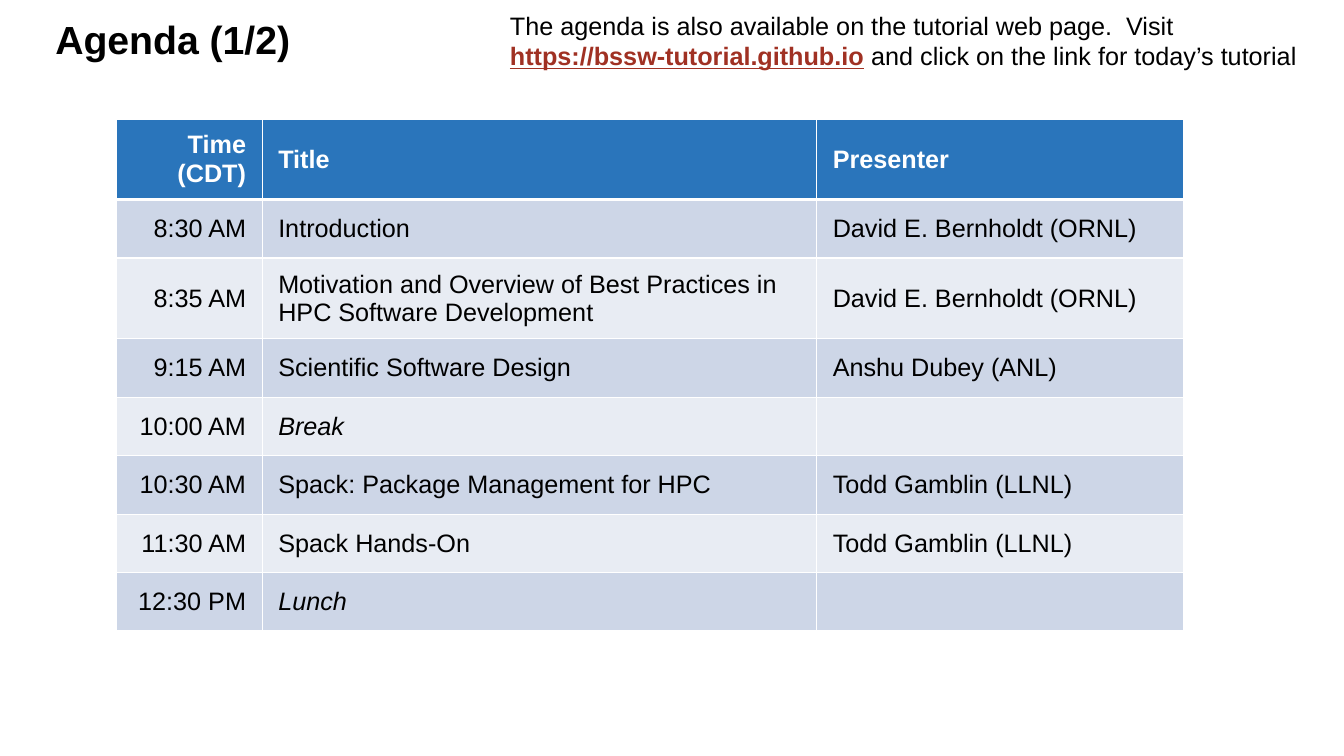
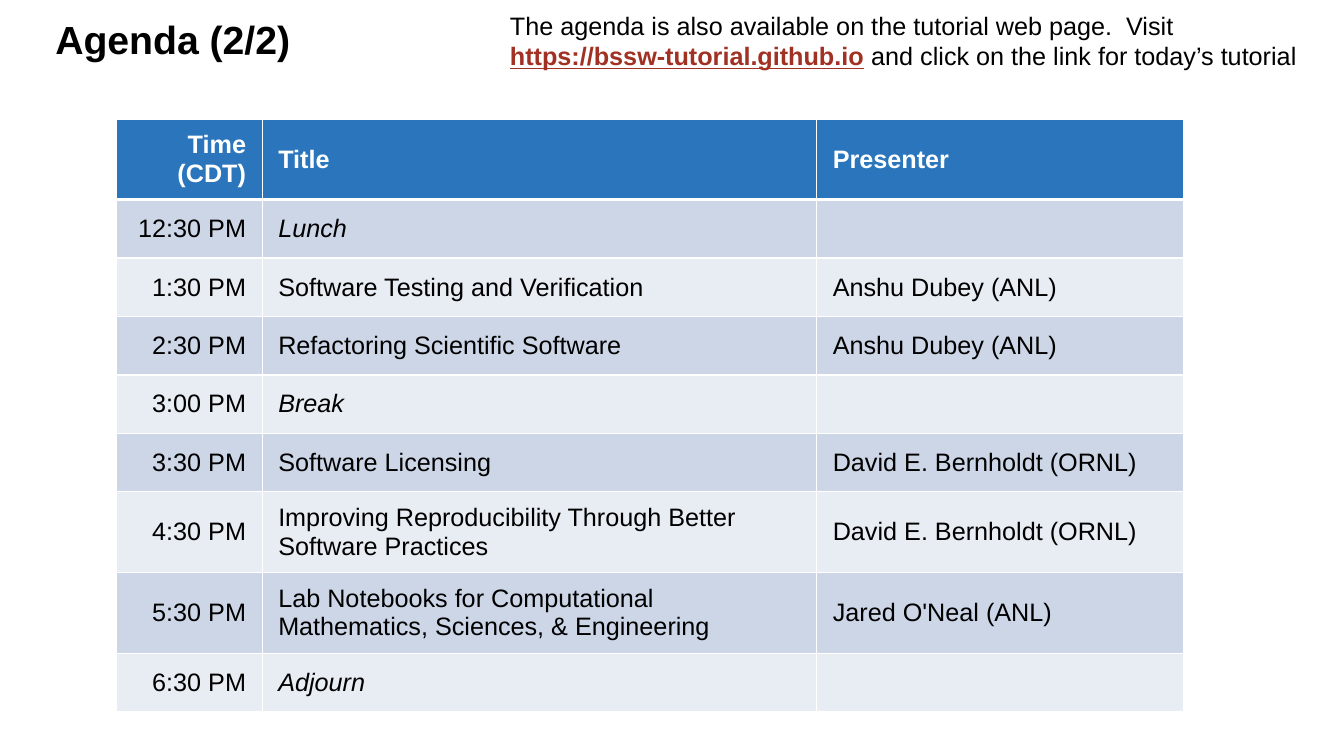
import pptx
import pptx.dml.color
import pptx.enum.text
import pptx.oxml
import pptx.oxml.ns
import pptx.util

Inches = pptx.util.Inches
Pt = pptx.util.Pt

FONT = "Arial"
BLACK = "000000"
WHITE = "FFFFFF"
HEADER_BLUE = "2A75BB"
BANDS = ["CDD6E7", "E8ECF3"]
LINK_RED = "A03123"

COLUMN_WIDTHS = [1.45, 5.5, 3.64]
ROW_HEIGHT = 0.58
HEADINGS = ("Time (CDT)", "Title", "Presenter")
UNPRESENTED = ("Break", "Lunch", "Adjourn")

AGENDAS = [
    ("Agenda (1/2)", [
        ("8:30 AM", "Introduction", "David E. Bernholdt (ORNL)"),
        ("8:35 AM", "Motivation and Overview of Best Practices in HPC Software Development",
         "David E. Bernholdt (ORNL)"),
        ("9:15 AM", "Scientific Software Design", "Anshu Dubey (ANL)"),
        ("10:00 AM", "Break", ""),
        ("10:30 AM", "Spack: Package Management for HPC", "Todd Gamblin (LLNL)"),
        ("11:30 AM", "Spack Hands-On", "Todd Gamblin (LLNL)"),
        ("12:30 PM", "Lunch", ""),
    ]),
    ("Agenda (2/2)", [
        ("12:30 PM", "Lunch", ""),
        ("1:30 PM", "Software Testing and Verification", "Anshu Dubey (ANL)"),
        ("2:30 PM", "Refactoring Scientific Software", "Anshu Dubey (ANL)"),
        ("3:00 PM", "Break", ""),
        ("3:30 PM", "Software Licensing", "David E. Bernholdt (ORNL)"),
        ("4:30 PM", "Improving Reproducibility Through Better Software Practices",
         "David E. Bernholdt (ORNL)"),
        ("5:30 PM", "Lab Notebooks for Computational Mathematics, Sciences, & Engineering",
         "Jared O'Neal (ANL)"),
        ("6:30 PM", "Adjourn", ""),
    ]),
]


def color(hex_value):
    return pptx.dml.color.RGBColor.from_string(hex_value)


def add_span(para, text, hex_value=BLACK, size=18, bold=False, italic=False, underline=False):
    span = para.add_run()
    span.text = text
    span.font.name = FONT
    span.font.size = Pt(size)
    span.font.bold = bold
    span.font.italic = italic
    span.font.underline = underline
    span.font.color.rgb = color(hex_value)


deck = pptx.Presentation()
deck.slide_width = Inches(13.33)
deck.slide_height = Inches(7.5)

for title, sessions in AGENDAS:
    page = deck.slides.add_slide(deck.slide_layouts[6])

    title_box = page.shapes.add_textbox(Inches(0.45), Inches(0.17), Inches(12.44), Inches(1))
    title_box.text_frame.word_wrap = True
    title_para = title_box.text_frame.paragraphs[0]
    title_para.line_spacing = 0.85
    add_span(title_para, title, size=28, bold=True)

    rows = [HEADINGS] + sessions
    table = page.shapes.add_table(
        len(rows), len(COLUMN_WIDTHS), Inches(1.15), Inches(1.18),
        Inches(sum(COLUMN_WIDTHS)), Inches(ROW_HEIGHT * len(rows))).table
    for column, width in zip(table.columns, COLUMN_WIDTHS):
        column.width = Inches(width)

    for row_index, row in enumerate(rows):
        table.rows[row_index].height = Inches(ROW_HEIGHT)
        is_header = row_index == 0
        for column_index, text in enumerate(row):
            cell = table.cell(row_index, column_index)
            cell.margin_left = cell.margin_right = Inches(0.16)
            cell.margin_top = cell.margin_bottom = Inches(0.1)
            cell.vertical_anchor = pptx.enum.text.MSO_ANCHOR.MIDDLE

            border_widths = {
                "lnL": 1,
                "lnR": 1,
                "lnT": 3 if row_index == 1 else 1,
                "lnB": 3 if is_header else 1,
            }
            for side, width in border_widths.items():
                border = pptx.oxml.parse_xml(
                    f'<a:{side} {pptx.oxml.ns.nsdecls("a")} w="{Pt(width)}"><a:solidFill>'
                    f'<a:srgbClr val="{WHITE}"/></a:solidFill></a:{side}>')
                cell._tc.get_or_add_tcPr().append(border)

            cell.fill.solid()
            cell.fill.fore_color.rgb = color(HEADER_BLUE if is_header else BANDS[(row_index - 1) % 2])

            para = cell.text_frame.paragraphs[0]
            if column_index == 0:
                para.alignment = pptx.enum.text.PP_ALIGN.RIGHT
            if text:
                add_span(para, text, WHITE if is_header else BLACK,
                         bold=is_header, italic=text in UNPRESENTED)

    note_box = page.shapes.add_textbox(Inches(4.96), Inches(0.05), Inches(8.37), Inches(0.71))
    note_box.text_frame.word_wrap = True
    note_para = note_box.text_frame.paragraphs[0]
    add_span(note_para, "The agenda is also available on the tutorial web page.  Visit ")
    add_span(note_para, "https://bssw-tutorial.github.io", LINK_RED, bold=True, underline=True)
    add_span(note_para, " ", bold=True)
    add_span(note_para, "and click on the link for today’s tutorial")

deck.save("out.pptx")
